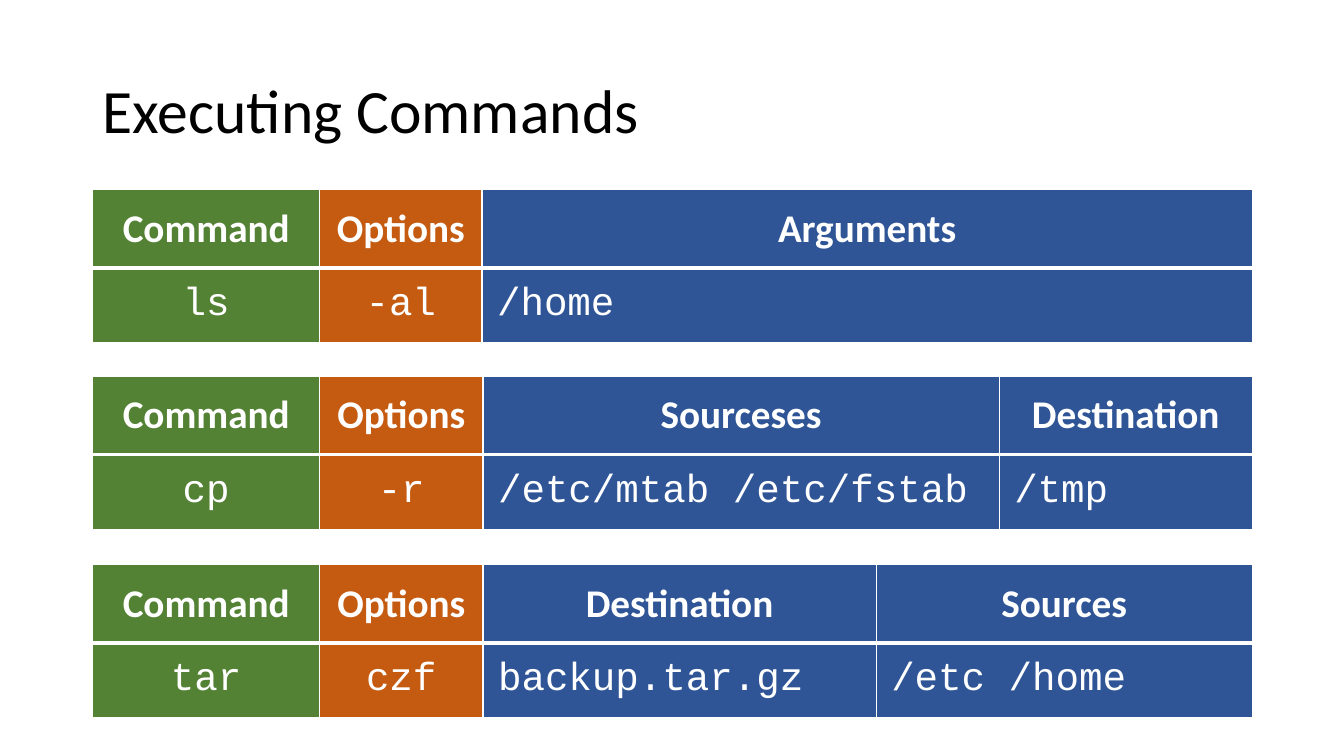
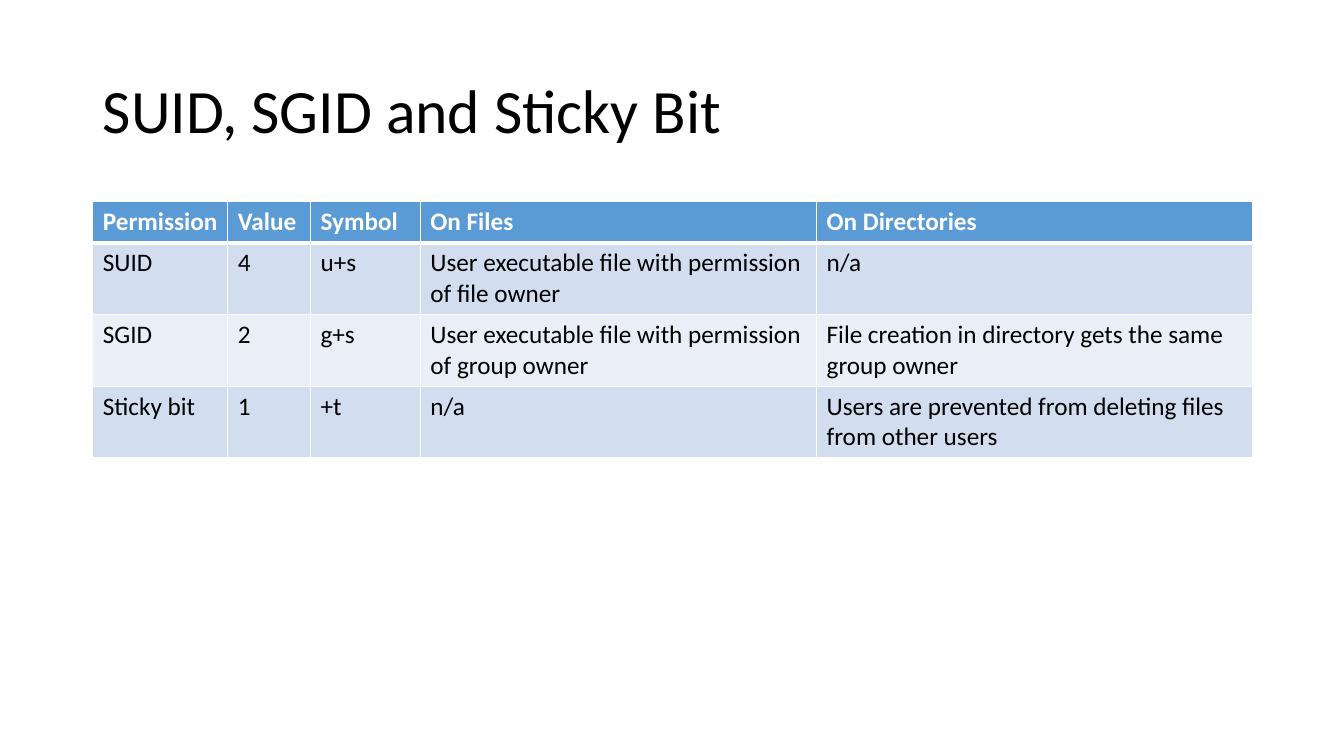
from dataclasses import dataclass

from lxml.etree import SubElement
from pptx import Presentation
from pptx.dml.color import RGBColor
from pptx.enum.text import MSO_ANCHOR, PP_ALIGN
from pptx.oxml.ns import qn
from pptx.presentation import Presentation as Deck
from pptx.slide import Slide
from pptx.table import _Cell
from pptx.util import Emu, Pt

PX = 9144  # EMU per px, 100 px to the inch
COLORS = {
    "black": "000000", "white": "FFFFFF",
    "green": "548235", "orange": "C55A11", "navy": "2F5597",
    "blue": "5B9BD5", "band": "D2DEEF", "pale": "EAEFF7",
}
LEFT, WIDTH = 92, 1150


@dataclass(frozen=True)
class TextStyle:
    size: int
    color: str
    bold: bool = False
    font: str = "Calibri"


@dataclass(frozen=True)
class CellStyle:
    text: TextStyle
    fill: str
    align: PP_ALIGN = PP_ALIGN.LEFT
    anchor: MSO_ANCHOR = MSO_ANCHOR.TOP
    inset: tuple[int, int] = (10, 5)  # sides, top and bottom
    space: int = 0


@dataclass(frozen=True)
class Table:
    top: int
    widths: list[int]  # the last column takes the rest
    heights: list[int]
    rows: list[list[str]]


TITLE = TextStyle(44, "black")
COMMAND_HEAD = TextStyle(28, "white", bold=True)
COMMAND_CODE = TextStyle(28, "white", font="Courier New")
BITS_HEAD = TextStyle(18, "white", bold=True)
BITS_BODY = TextStyle(18, "black")

COMMAND_HEIGHTS = [78, 74]
COMMAND_TABLES = [
    Table(188, [225, 161], COMMAND_HEIGHTS, [
        ["Command", "Options", "Arguments"],
        ["ls", "-al", "/home"]]),
    Table(373, [225, 162, 512], COMMAND_HEIGHTS, [
        ["Command", "Options", "Sourceses", "Destination"],
        ["cp", "-r", "/etc/mtab /etc/fstab", "/tmp"]]),
    Table(560, [225, 162, 390], COMMAND_HEIGHTS, [
        ["Command", "Options", "Destination", "Sources"],
        ["tar", "czf", "backup.tar.gz", "/etc /home"]]),
]
BITS_TABLE = Table(200, [134, 82, 109, 393], [41, 70, 70, 70], [
    ["Permission", "Value", "Symbol", "On Files", "On Directories"],
    ["SUID", "4", "u+s",
     "User executable file with permission of file owner", "n/a"],
    ["SGID", "2", "g+s",
     "User executable file with permission of group owner",
     "File creation in directory gets the same group owner"],
    ["Sticky bit", "1", "+t", "n/a",
     "Users are prevented from deleting files from other users"],
])


def px(n: int) -> Emu:
    return Emu(n * PX)


def rgb(name: str) -> RGBColor:
    return RGBColor.from_string(COLORS[name])


def set_attrs(obj: object, values: dict) -> None:
    for name, value in values.items():
        setattr(obj, name, value)


def set_font(p, style: TextStyle) -> None:
    for r in p.runs:
        set_attrs(r.font, {"name": style.font, "size": Pt(style.size),
                           "bold": style.bold})
        r.font.color.rgb = rgb(style.color)


def add_slide(prs: Deck, title: str) -> Slide:
    s = prs.slides.add_slide(prs.slide_layouts[5])
    sp = s.shapes.title
    set_attrs(sp, {"left": px(LEFT), "top": px(40),
                   "width": px(WIDTH), "height": px(145)})
    tf = sp.text_frame
    set_attrs(tf, {"text": title, "word_wrap": True,
                   "vertical_anchor": MSO_ANCHOR.MIDDLE})
    p = tf.paragraphs[0]
    set_attrs(p, {"alignment": PP_ALIGN.LEFT, "line_spacing": 0.9})
    set_font(p, TITLE)
    return s


def set_borders(cell: _Cell, row: int) -> None:
    """White rules all round, heavier between header and body."""
    widths = {"L": 1, "R": 1, "T": 3 if row == 1 else 1, "B": 3 if row == 0 else 1}
    tcPr = cell._tc.get_or_add_tcPr()
    for i, (side, width) in enumerate(widths.items()):
        ln = SubElement(tcPr, qn(f"a:ln{side}"), w=str(Pt(width)))
        fill = SubElement(ln, qn("a:solidFill"))
        SubElement(fill, qn("a:srgbClr"), val=COLORS["white"])
        tcPr.insert(i, ln)  # borders come before the cell fill


def fill_cell(cell: _Cell, text: str, style: CellStyle) -> None:
    side, end = style.inset
    set_attrs(cell, {"text": text, "vertical_anchor": style.anchor,
                     "margin_left": px(side), "margin_right": px(side),
                     "margin_top": px(end), "margin_bottom": px(end)})
    cell.fill.solid()
    cell.fill.fore_color.rgb = rgb(style.fill)
    p = cell.text_frame.paragraphs[0]
    set_attrs(p, {"alignment": style.align, "space_before": Pt(style.space),
                  "space_after": Pt(style.space)})
    set_font(p, style.text)


def command_style(row: int, col: int) -> CellStyle:
    centred = row == 0 or col < 2
    return CellStyle(
        COMMAND_CODE if row else COMMAND_HEAD,
        ("green", "orange", "navy")[min(col, 2)],
        PP_ALIGN.CENTER if centred else PP_ALIGN.LEFT,
        MSO_ANCHOR.MIDDLE, inset=(15, 15), space=12)


def bits_style(row: int, col: int) -> CellStyle:
    if row == 0:
        return CellStyle(BITS_HEAD, "blue")
    return CellStyle(BITS_BODY, "band" if row % 2 else "pale")


def add_table(s: Slide, table: Table, style_of) -> None:
    widths = table.widths + [WIDTH - sum(table.widths)]
    tbl = s.shapes.add_table(
        len(table.rows), len(widths), px(LEFT), px(table.top),
        px(WIDTH), px(sum(table.heights))).table
    for column, width in zip(tbl.columns, widths):
        column.width = px(width)
    for i, (height, texts) in enumerate(zip(table.heights, table.rows)):
        tbl.rows[i].height = px(height)
        for j, text in enumerate(texts):
            cell = tbl.cell(i, j)
            fill_cell(cell, text, style_of(i, j))
            set_borders(cell, i)


def main() -> None:
    prs = Presentation()
    set_attrs(prs, {"slide_width": px(1333), "slide_height": px(750)})

    # Command syntax, one table per example
    s = add_slide(prs, "Executing Commands")
    for table in COMMAND_TABLES:
        add_table(s, table, command_style)

    # Special permission bits
    s = add_slide(prs, "SUID, SGID and Sticky Bit")
    add_table(s, BITS_TABLE, bits_style)

    prs.save("out.pptx")


if __name__ == "__main__":
    main()
